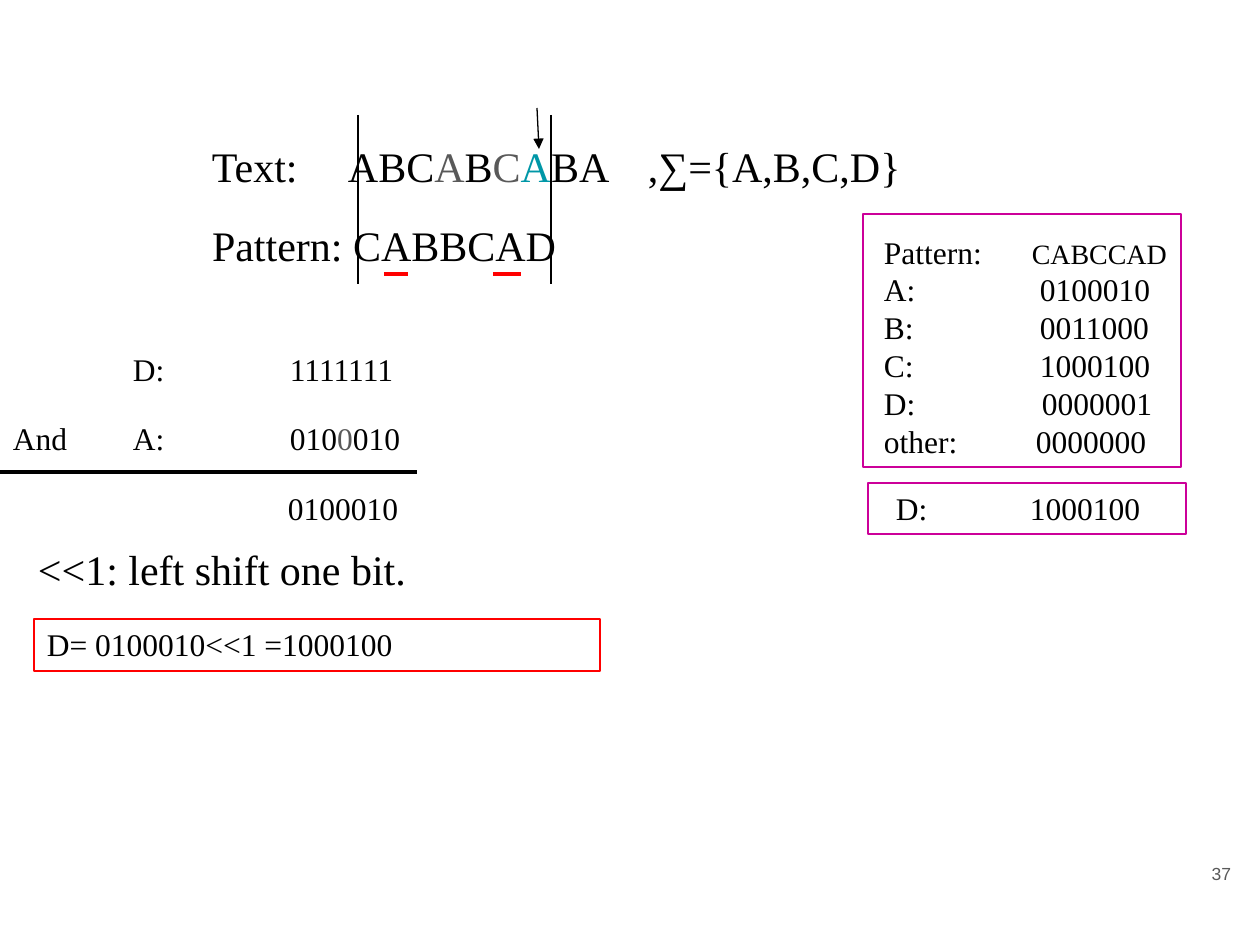
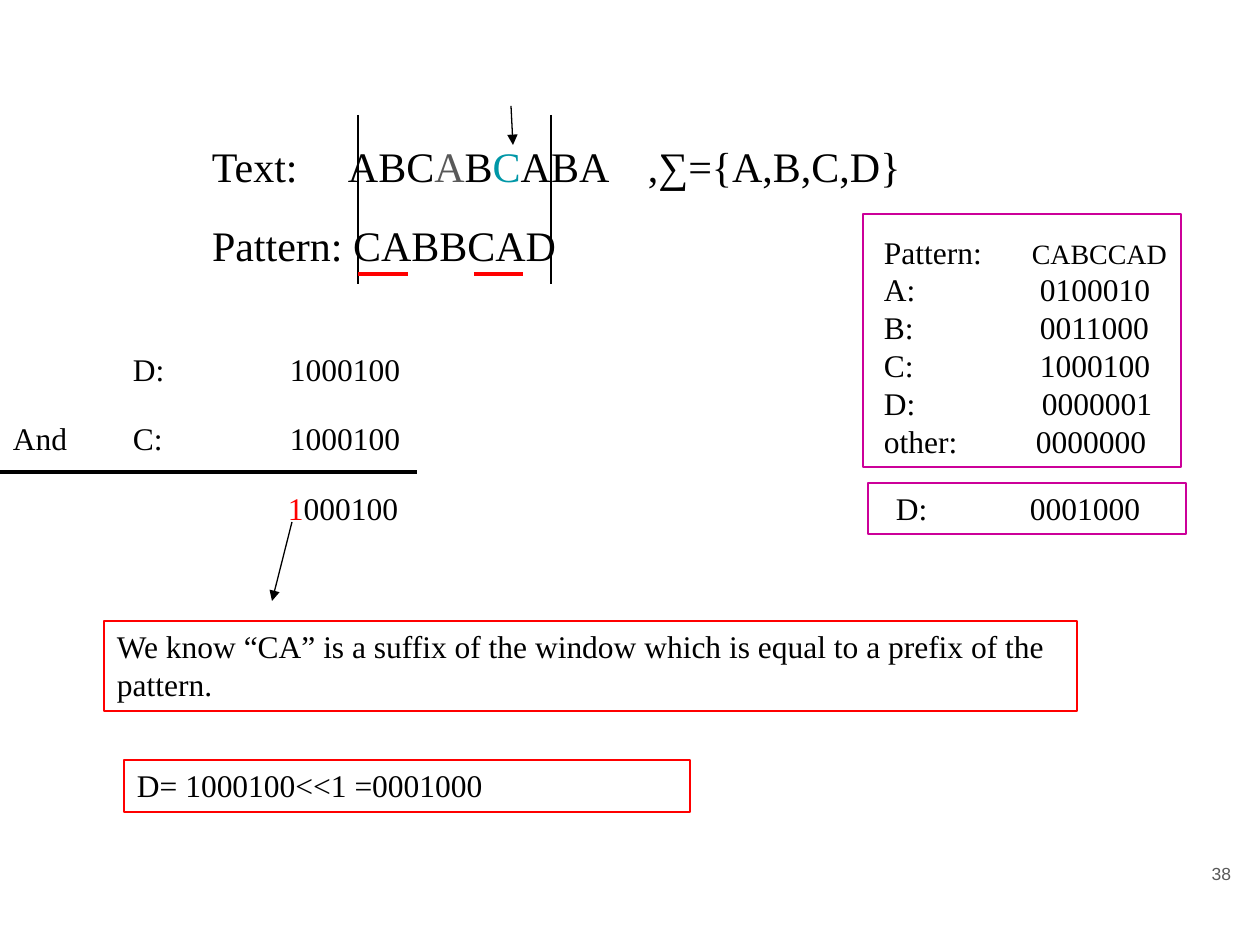
from lxml.etree import SubElement
from pptx import Presentation
from pptx.dml.color import RGBColor
from pptx.enum.shapes import MSO_CONNECTOR, MSO_SHAPE
from pptx.enum.text import MSO_ANCHOR, PP_ALIGN
from pptx.oxml.ns import qn
from pptx.util import Emu, Pt

BLACK = RGBColor(0x00, 0x00, 0x00)
GREY = RGBColor(0x59, 0x59, 0x59)
TEAL = RGBColor(0x00, 0x97, 0xA7)
RED = RGBColor(0xFF, 0x00, 0x00)
MAGENTA = RGBColor(0xCC, 0x00, 0x99)
SERIF, SANS = "Times New Roman", "Arial"
BIG, NORMAL, SMALL, TINY = 24, 18, 16, 10
LEADING = 1.2
PAD_X, PAD_Y = 13, 6

# Each legend row: label, tab stop in px, value
LEGEND = [
    ("Pattern:", 148, "CABCCAD"),
    ("A:", 156, "0100010"),
    ("B:", 156, "0011000"),
    ("C:", 156, "1000100"),
    ("D:", 158, "0000001"),
    ("other:", 152, "0000000"),
]

# Coloured text is a list of (text, colour) pieces; boxes are left, top, width, height
STEPS = [
    {
        "number": "37",
        "text": [("ABC", BLACK), ("A", GREY), ("B", BLACK), ("C", GREY),
                 ("A", TEAL), ("BA", BLACK)],
        "old_d": "1111111",
        "letter": "A:",
        "mask": [("010", BLACK), ("0", GREY), ("010", BLACK)],
        "result": [("0100010", BLACK)],
        "new_d": "1000100",
        "matches": [(384, 408), (493, 521)],
        "arrows": [(537, 108, 539, 149)],
        "captions": [("<<1: left shift one bit.", BIG, (25, 538, 675, 63), None),
                     ("D= 0100010<<1 =1000100", NORMAL, (34, 619, 566, 52), RED)],
    },
    {
        "number": "38",
        "text": [("ABC", BLACK), ("A", GREY), ("B", BLACK), ("C", TEAL),
                 ("ABA", BLACK)],
        "old_d": "1000100",
        "letter": "C:",
        "mask": [("1000100", BLACK)],
        "result": [("1", RED), ("000100", BLACK)],
        "new_d": "0001000",
        "matches": [(358, 408), (474, 523)],
        "arrows": [(511, 106, 513, 145), (292, 522, 272, 601)],
        "captions": [("We know “CA” is a suffix of the window which is equal to "
                      "a prefix of the pattern.", NORMAL, (104, 621, 973, 90), RED),
                     ("D= 1000100<<1 =0001000", NORMAL, (124, 760, 566, 52), RED)],
    },
]


def px(n):
    return Emu(round(n * 914400 / 126))


def add_para(p, pieces, size, tab=None, leading=None, font=SERIF):
    """Fill a paragraph with (text, colour[, size]) pieces and an optional tab stop."""
    p.line_spacing = Pt((leading or size) * LEADING)
    if tab:
        tabs = SubElement(p._p.get_or_add_pPr(), qn("a:tabLst"))
        SubElement(tabs, qn("a:tab"), pos=str(px(tab)), algn="l")
    for text, color, *own_size in pieces:
        r = p.add_run()
        r.text = text
        r.font.name = font
        r.font.size = Pt(own_size[0] if own_size else size)
        r.font.color.rgb = color


def add_box(s, box, outline=None, indent=0):
    """Add a text box, or an outlined rectangle, and return its text frame."""
    box = [px(n) for n in box]
    if outline:
        sp = s.shapes.add_shape(MSO_SHAPE.RECTANGLE, *box)
        sp.shadow.inherit = False
        sp.fill.background()
        sp.line.color.rgb = outline
        sp.line.width = Pt(0.75)
    else:
        sp = s.shapes.add_textbox(*box)
    tf = sp.text_frame
    tf.word_wrap = True
    tf.vertical_anchor = MSO_ANCHOR.TOP
    tf.margin_left, tf.margin_right = px(PAD_X + indent), px(PAD_X)
    tf.margin_top = tf.margin_bottom = px(PAD_Y)
    tf.paragraphs[0].alignment = PP_ALIGN.LEFT
    return tf


def add_text(s, box, pieces, size=NORMAL, tab=None, outline=None, indent=0):
    tf = add_box(s, box, outline, indent)
    add_para(tf.paragraphs[0], pieces, size, tab)


def add_line(s, ends, color=BLACK, width=0.75, arrow=False):
    cn = s.shapes.add_connector(MSO_CONNECTOR.STRAIGHT, *[px(n) for n in ends])
    cn.line.color.rgb = color
    cn.line.width = Pt(width)
    if arrow:
        SubElement(cn.line._get_or_add_ln(), qn("a:tailEnd"), type="triangle")
    SubElement(cn._element.spPr, qn("a:effectLst"))


def add_legend(s):
    tf = add_box(s, (863, 214, 318, 253), MAGENTA, indent=8)
    for i, (label, tab, value) in enumerate(LEGEND):
        p = tf.add_paragraph() if i else tf.paragraphs[0]
        p.alignment = PP_ALIGN.LEFT
        pieces = [(label + "\t", BLACK), (value, BLACK, NORMAL if i else SMALL)]
        add_para(p, pieces, NORMAL, tab, NORMAL if i else BIG)


def add_window(s, step):
    """Text over pattern, with the window edges and the matching letters marked."""
    add_text(s, (199, 135, 428, 63), [("Text:\t", BLACK)] + step["text"], BIG, tab=136)
    add_text(s, (199, 214, 400, 63), [("Pattern: CABBCAD", BLACK)], BIG)
    add_text(s, (635, 135, 291, 64), [(",∑={A,B,C,D}", BLACK)], BIG)
    for x in (358, 551):
        add_line(s, (x, 115, x, 284))
    for left, right in step["matches"]:
        add_line(s, (left, 274, right, 274), RED, 2.25)


def add_sum(s, step):
    """The column that ANDs the old state with the mask of the letter read."""
    rows = [("D:", 344, [(step["old_d"], BLACK)]), (step["letter"], 413, step["mask"])]
    for label, top, bits in rows:
        add_text(s, (120, top, 318, 51), [(label + "\t", BLACK)] + bits, tab=157)
    add_text(s, (0, 413, 90, 51), [("And", BLACK)])
    add_line(s, (0, 472, 417, 472), width=2.25)
    add_text(s, (275, 483, 164, 51), step["result"])


def add_number(s, number):
    p = add_box(s, (1168, 857, 76, 72)).paragraphs[0]
    p.alignment = PP_ALIGN.RIGHT
    add_para(p, [(number, GREY)], TINY, font=SANS)


def main():
    prs = Presentation()
    prs.slide_width, prs.slide_height = px(1260), px(945)
    for step in STEPS:
        s = prs.slides.add_slide(prs.slide_layouts[6])
        add_number(s, step["number"])
        add_window(s, step)
        add_legend(s)
        add_sum(s, step)
        add_text(s, (868, 483, 318, 51), [("D:\t", BLACK), (step["new_d"], BLACK)],
                 tab=134, outline=MAGENTA, indent=15)
        for caption, size, box, outline in step["captions"]:
            add_text(s, box, [(caption, BLACK)], size, outline=outline)
        for ends in step["arrows"]:
            add_line(s, ends, arrow=True)
    prs.save("out.pptx")


if __name__ == "__main__":
    main()
